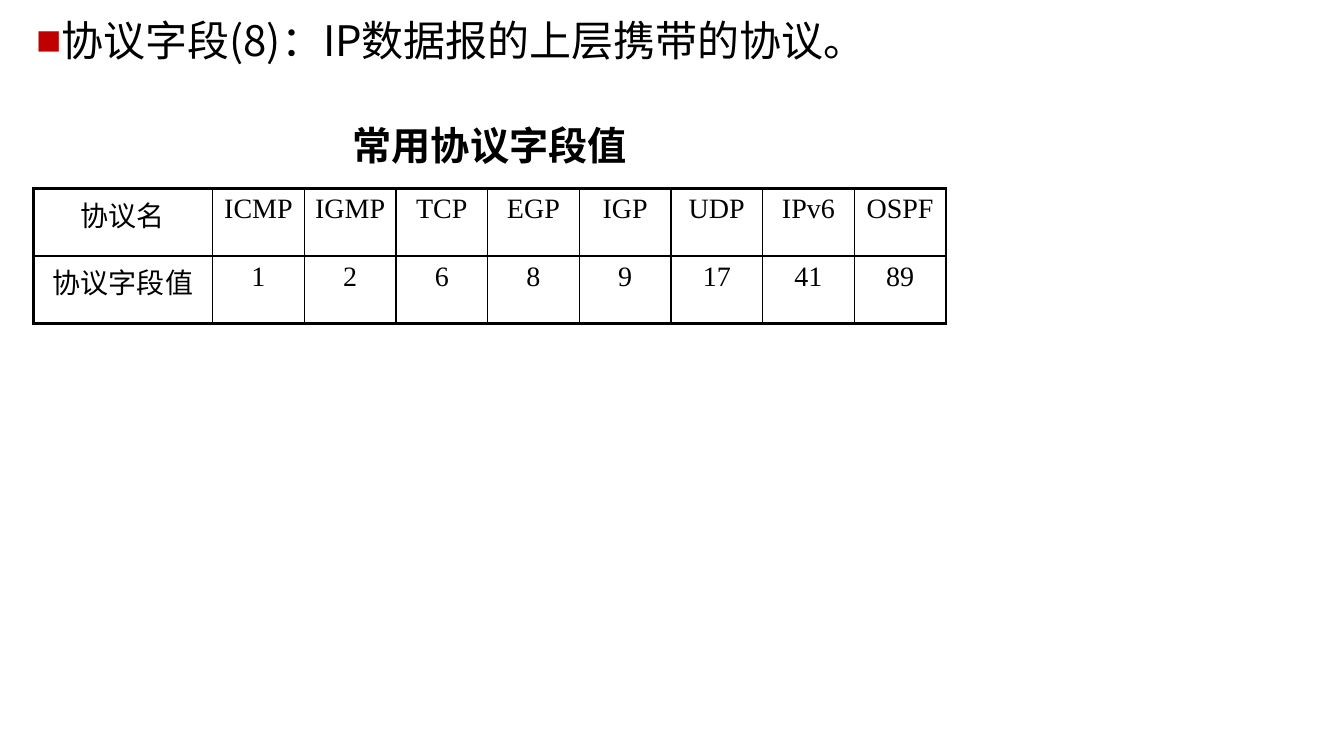
import pptx
import pptx.util
import pptx.dml.color
import pptx.enum.text
from lxml import etree
from pptx.oxml import ns
from pptx.util import Cm, Pt

COLORS = {"text": "000000", "bullet": "C00000", "border": "000000"}
CJK_FONT = "Noto Sans CJK SC"
LATIN_FONT = "Times New Roman"
THIN, THICK = 1, 2.25

PROTOCOLS = {"协议名": "协议字段值", "ICMP": "1", "IGMP": "2", "TCP": "6", "EGP": "8",
             "IGP": "9", "UDP": "17", "IPv6": "41", "OSPF": "89"}


def add_span(para, text, size, font, bold=False):
    span = para.add_run()
    span.text = text
    span.font.size = Pt(size)
    span.font.name = font
    span.font.bold = bold
    span.font.color.rgb = pptx.dml.color.RGBColor.from_string(COLORS["text"])
    east_asian = etree.SubElement(span.font._element, ns.qn("a:ea"))
    east_asian.set("typeface", CJK_FONT)


def set_borders(cell, widths):
    """Draw left, right, top and bottom borders in points; 0 hides one."""
    properties = cell._tc.get_or_add_tcPr()
    for index, (side, width) in enumerate(zip("LRTB", widths)):
        line = etree.Element(ns.qn(f"a:ln{side}"))
        if width:
            line.set("w", str(Pt(width)))
            fill = etree.SubElement(line, ns.qn("a:solidFill"))
            etree.SubElement(fill, ns.qn("a:srgbClr")).set("val", COLORS["border"])
        else:
            etree.SubElement(line, ns.qn("a:noFill"))
        properties.insert(index, line)


deck = pptx.Presentation()
deck.slide_width, deck.slide_height = Cm(33.87), Cm(19.05)
slide = deck.slides.add_slide(deck.slide_layouts[6])

# Heading with a square bullet
box = slide.shapes.add_textbox(Cm(0.66), Cm(0.38), Cm(24), Cm(2.21))
box.text_frame.word_wrap = True
para = box.text_frame.paragraphs[0]
para.line_spacing = 0.9
para.space_before = Pt(10)
layout = para._p.get_or_add_pPr()
layout.set("marL", str(Cm(0.63)))
layout.set("indent", str(-Cm(0.63)))
bullet_color = etree.SubElement(layout, ns.qn("a:buClr"))
etree.SubElement(bullet_color, ns.qn("a:srgbClr")).set("val", COLORS["bullet"])
etree.SubElement(layout, ns.qn("a:buFont")).set("typeface", LATIN_FONT)
etree.SubElement(layout, ns.qn("a:buChar")).set("char", "■")
add_span(para, "协议字段(8)：IP数据报的上层携带的协议。", 30, CJK_FONT)

# Protocol table: a merged title row above names and values
rows = [["常用协议字段值"] + [""] * (len(PROTOCOLS) - 1),
        list(PROTOCOLS.keys()), list(PROTOCOLS.values())]
column_widths = [4.52] + [2.31] * (len(PROTOCOLS) - 1)
row_heights = [1.98, 1.7, 1.7]
table = slide.shapes.add_table(len(rows), len(PROTOCOLS), Cm(0.84), Cm(2.77),
                               Cm(sum(column_widths)), Cm(sum(row_heights))).table
table.first_row = False
table.horz_banding = False
for column, width in zip(table.columns, column_widths):
    column.width = Cm(width)
for row, height in zip(table.rows, row_heights):
    row.height = Cm(height)
table.cell(0, 0).merge(table.cell(0, len(PROTOCOLS) - 1))

last_row, last_column = len(rows) - 1, len(PROTOCOLS) - 1
for r, texts in enumerate(rows):
    for c, text in enumerate(texts):
        cell = table.cell(r, c)
        cell.fill.background()
        if r == 0:
            set_borders(cell, [0, 0, 0, THICK])
        else:
            set_borders(cell, [THICK if c == 0 else THIN,
                               THICK if c == last_column else THIN,
                               THICK if r == 1 else THIN,
                               THICK if r == last_row else THIN])
        if text:
            para = cell.text_frame.paragraphs[0]
            para.alignment = pptx.enum.text.PP_ALIGN.CENTER
            spacing = etree.SubElement(para._p.get_or_add_pPr(), ns.qn("a:spcBef"))
            etree.SubElement(spacing, ns.qn("a:spcPct")).set("val", "20000")
            add_span(para, text, 28 if r == 0 else 20, LATIN_FONT, bold=r == 0)

deck.save("out.pptx")
